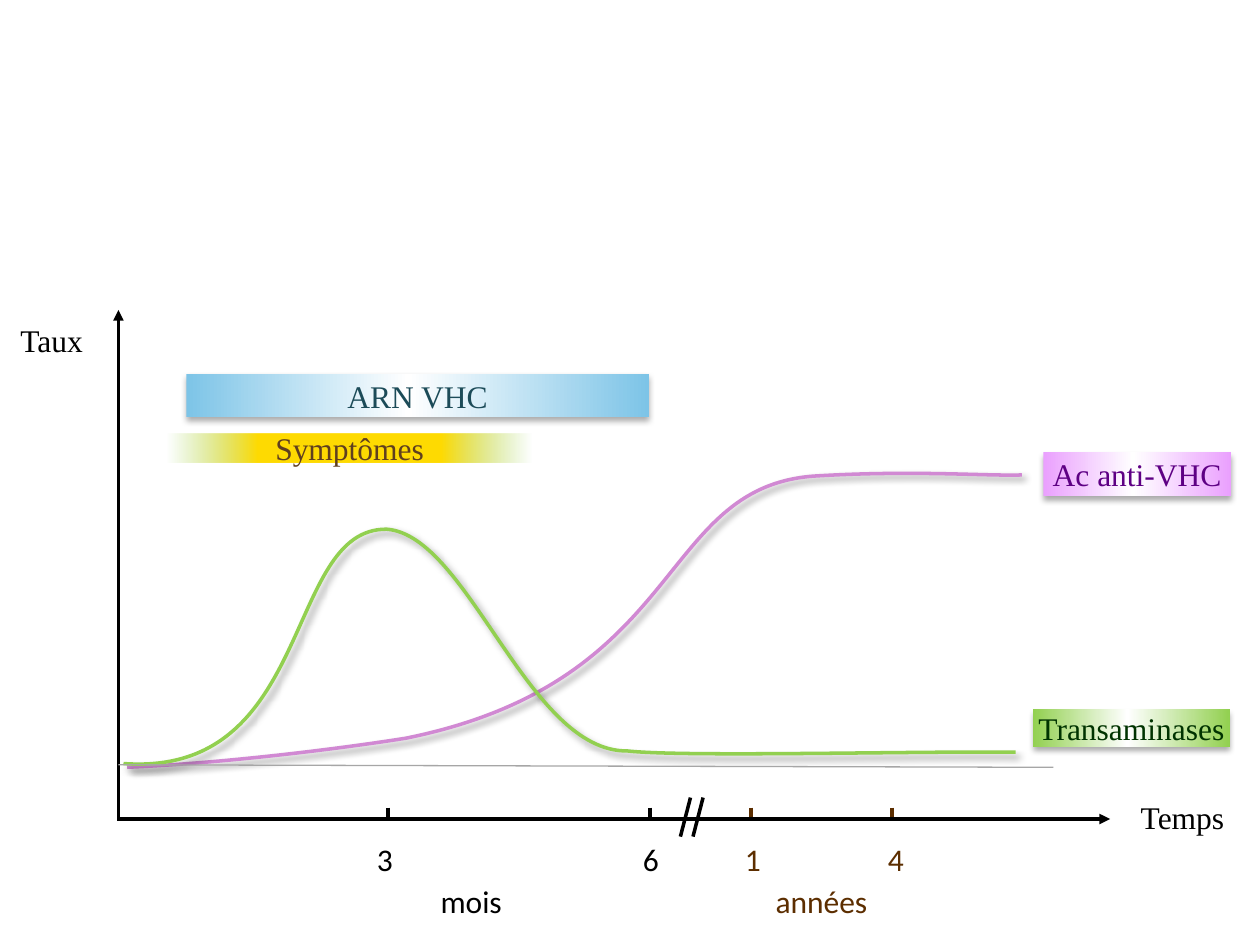
from lxml import etree
from pptx import Presentation, util as u
from pptx.dml.color import RGBColor
from pptx.enum import shapes, text
from pptx.oxml.ns import qn

COLORS = {
    "black": "000000", "years": "5C2E00", "baseline": "A6A6A6",
    "antibody": "D189D3", "green": "92D050", "yellow": "FFDB01",
    "blue": "7DC4E7", "violet": "EAA0FE", "white": "FFFFFF",
    "rna text": "1C4B58", "antibody text": "5E0084",
    "enzyme text": "003300", "symptom text": "5F3F1F",
}
SERIF, SANS = "Times New Roman", "Calibri"
AXIS_X, AXIS_Y = 0.94, 6.5
BOX_SHADOW = {"alpha": 32, "blur": 3.5, "distance": 2.2, "angle": 90}
CURVE_SHADOW = {"alpha": 40, "blur": 4, "distance": 3, "angle": 45}
TIGHT = (0.02, 0.02)
ROOMY = (0.1, 0.08)
PLAIN = (0.1, 0.05)


def rgb(name):
    return RGBColor.from_string(COLORS[name])


def apply(target, values):
    for name, value in values.items():
        setattr(target, name, value)


def write(shape, content, font, color, insets, anchor="TOP", grow=False):
    horizontal, vertical = map(u.Inches, insets)
    frame = shape.text_frame
    apply(frame, {
        "word_wrap": True,
        "vertical_anchor": getattr(text.MSO_ANCHOR, anchor),
        "margin_left": horizontal, "margin_right": horizontal,
        "margin_top": vertical, "margin_bottom": vertical,
        "auto_size": (text.MSO_AUTO_SIZE.SHAPE_TO_FIT_TEXT if grow
                      else text.MSO_AUTO_SIZE.NONE),
    })
    paragraph = frame.paragraphs[0]
    paragraph.alignment = text.PP_ALIGN.CENTER
    run = paragraph.add_run()
    run.text = content
    apply(run.font, {"name": font, "size": u.Pt(18)})
    run.font.color.rgb = rgb(color)


def add_label(slide, content, box, font, color="black", **layout):
    shape = slide.shapes.add_textbox(*map(u.Inches, box))
    write(shape, content, font, color, **layout)


def add_shadow(shape, alpha, blur, distance, angle):
    effects = shape.element.spPr.find(qn("a:effectLst"))
    shadow = etree.SubElement(
        effects, qn("a:outerShdw"), blurRad=str(u.Pt(blur)),
        dist=str(u.Pt(distance)), dir=str(angle * 60000), rotWithShape="0")
    color = etree.SubElement(shadow, qn("a:srgbClr"), val=COLORS["black"])
    etree.SubElement(color, qn("a:alpha"), val=str(alpha * 1000))


def fill_gradient(shape, stops):
    """Fill from left to right with (percent, colour, opacity) stops."""
    shape.fill.gradient()
    shape.fill.gradient_angle = 0
    stop_list = shape.element.spPr.find(".//" + qn("a:gsLst"))
    for old in list(stop_list):
        stop_list.remove(old)
    for position, name, opacity in stops:
        stop = etree.SubElement(stop_list, qn("a:gs"), pos=str(position * 1000))
        color = etree.SubElement(stop, qn("a:srgbClr"), val=COLORS[name])
        if opacity < 100:
            etree.SubElement(color, qn("a:alpha"), val=str(opacity * 1000))


def add_band(slide, content, box, stops, color, shadow=None, **layout):
    shape = slide.shapes.add_shape(
        shapes.MSO_SHAPE.RECTANGLE, *map(u.Inches, box))
    shape.shadow.inherit = False
    shape.line.fill.background()
    fill_gradient(shape, stops)
    if shadow:
        add_shadow(shape, **shadow)
    write(shape, content, SERIF, color, **layout)


def glow(edge):
    return [(0, edge, 100), (48, "white", 100), (100, edge, 100)]


def add_curve(slide, points, color):
    """Draw cubic Bézier segments: a start, then three points for each segment."""
    points = [(u.Inches(x), u.Inches(y)) for x, y in points]
    builder = slide.shapes.build_freeform(*points[0], scale=1.0)
    builder.add_line_segments(points[1:], close=False)
    shape = builder.convert_to_shape()
    segments = list(shape.element.iter(qn("a:lnTo")))
    for start in range(0, len(segments), 3):
        curve = etree.Element(qn("a:cubicBezTo"))
        segments[start].addprevious(curve)
        for segment in segments[start:start + 3]:
            curve.append(segment[0])
            segment.getparent().remove(segment)
    shape.fill.background()
    shape.line.color.rgb = rgb(color)
    shape.line.width = u.Pt(2)
    shape.shadow.inherit = False
    add_shadow(shape, **CURVE_SHADOW)


def add_line(slide, start, end, color="black", width=2, arrow_at_start=False):
    line = slide.shapes.add_connector(
        shapes.MSO_CONNECTOR.STRAIGHT, *map(u.Inches, (*start, *end)))
    line.line.color.rgb = rgb(color)
    line.line.width = u.Pt(width)
    properties = line.element.spPr
    if arrow_at_start:
        etree.SubElement(properties.find(qn("a:ln")), qn("a:headEnd"),
                         type="triangle")
    etree.SubElement(properties, qn("a:effectLst"))


def add_time_scale(slide):
    ticks = [("3", 3.08, 2.86, 0.39, "black"), ("6", 5.16, 4.97, 0.39, "black"),
             ("1", 5.96, 5.78, 0.39, "years"), ("4", 7.08, 6.88, 0.46, "years")]
    for number, x, left, width, color in ticks:
        add_label(slide, number, (left, 6.62, width, 0.4), SANS, color,
                  insets=PLAIN, grow=True)
        add_line(slide, (x, 6.41), (x, 6.49), color)
    for unit, left, color in [("mois", 3.27, "black"), ("années", 6.05, "years")]:
        add_label(slide, unit, (left, 6.95, 0.94, 0.4), SANS, color,
                  insets=PLAIN, grow=True)
    for x in (5.4, 5.5):
        add_line(slide, (x + 0.08, 6.33), (x, 6.64))


def add_axes(slide):
    add_line(slide, (8.81, AXIS_Y), (0.93, AXIS_Y), arrow_at_start=True)
    add_line(slide, (AXIS_X, 2.46), (AXIS_X, 6.51), arrow_at_start=True)
    add_line(slide, (AXIS_X, 6.07), (8.36, 6.09), "baseline", 0.75)
    for name, box in [("Temps", (8.61, 6.17, 1.55, 0.63)),
                      ("Taux", (-0.06, 2.58, 0.94, 0.23))]:
        add_label(slide, name, box, SERIF, insets=ROOMY, anchor="MIDDLE")


def main():
    presentation = Presentation()
    presentation.slide_width = u.Inches(10)
    presentation.slide_height = u.Inches(7.5)
    slide = presentation.slides.add_slide(presentation.slide_layouts[6])

    add_band(slide, "ARN VHC", (1.48, 2.97, 3.67, 0.34), glow("blue"),
             "rna text", BOX_SHADOW, insets=TIGHT, grow=True)
    add_curve(slide, [(1.01, 6.09), (1.74, 6.06), (2.65, 5.95), (3.22, 5.86),
                      (5.45, 5.41), (5.21, 3.88), (6.45, 3.78),
                      (7.24, 3.73), (7.83, 3.78), (8.11, 3.77)], "antibody")
    add_time_scale(slide)
    add_curve(slide, [(0.98, 6.06), (2.5, 6.17), (2.25, 4.19), (3.07, 4.2),
                      (3.72, 4.25), (4.19, 5.97), (4.98, 5.96),
                      (5.44, 6.01), (7.28, 5.96), (8.06, 5.97)], "green")
    add_band(slide, "Transaminases", (8.2, 5.63, 1.56, 0.3), glow("green"),
             "enzyme text", BOX_SHADOW, insets=TIGHT, anchor="MIDDLE")
    add_band(slide, "Ac anti-VHC", (8.28, 3.59, 1.49, 0.35), glow("violet"),
             "antibody text", BOX_SHADOW, insets=TIGHT, grow=True)
    symptom_stops = [(0, "green", 0), (25, "yellow", 100), (48, "yellow", 100),
                     (75, "yellow", 100), (100, "green", 0)]
    add_band(slide, "Symptômes", (1.33, 3.44, 2.89, 0.23), symptom_stops,
             "symptom text", insets=ROOMY, anchor="MIDDLE")
    add_axes(slide)
    presentation.save("out.pptx")


if __name__ == "__main__":
    main()
